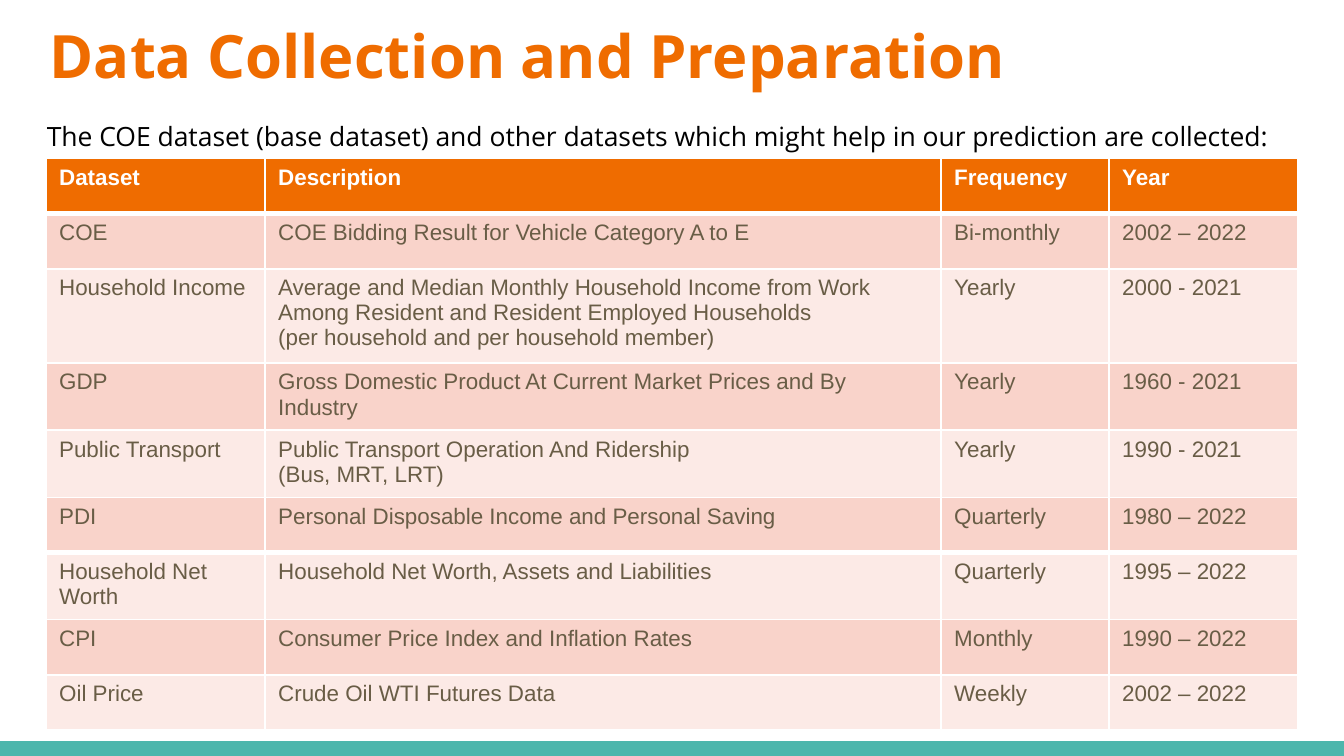
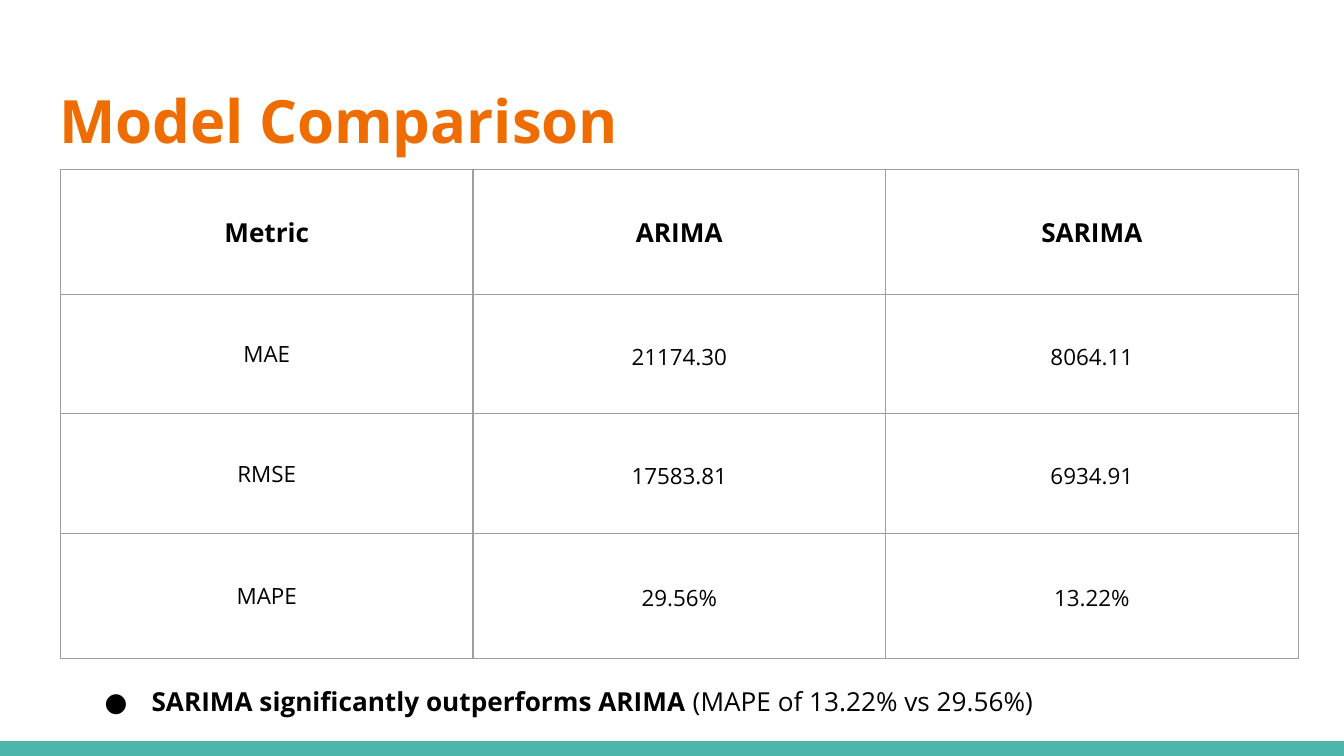
from dataclasses import dataclass

from lxml import etree
from pptx import Presentation
from pptx.dml.color import RGBColor
from pptx.enum.shapes import MSO_SHAPE
from pptx.enum.text import MSO_ANCHOR, MSO_AUTO_SIZE, PP_ALIGN
from pptx.oxml.ns import qn
from pptx.util import Inches, Pt

LEFT, CENTER = PP_ALIGN.LEFT, PP_ALIGN.CENTER
TOP, MIDDLE, BOTTOM = MSO_ANCHOR.TOP, MSO_ANCHOR.MIDDLE, MSO_ANCHOR.BOTTOM
WIDTH = 10
HEIGHT = WIDTH * 9 / 16
BAND_HEIGHT = 0.11
TITLE_ONLY = 5


@dataclass(frozen=True)
class Theme:
    accent: str = "EF6C00"
    band: str = "4DB6AC"
    ink: str = "000000"
    muted: str = "695D46"
    white: str = "FFFFFF"
    grid: str = "9E9E9E"
    stripes: tuple = ("F9D3CA", "FCEAE6")
    font: str = "Open Sans"
    table_font: str = "Arial"
    title_size: float = 32
    lead_size: float = 14.2
    body_size: float = 14
    cell_size: float = 12


T = Theme()

# Each cell or text is a list of paragraphs or one string; "\v" breaks a line.
DATA_TITLE = "Data Collection and Preparation"
DATA_LEAD = ("The COE dataset (base dataset) and other datasets which might help "
             "in our prediction are collected:")
DATASETS = [
    ("Dataset", "Description", "Frequency", "Year"),
    ("COE", "COE Bidding Result for Vehicle Category A to E", "Bi-monthly", "2002 – 2022"),
    ("Household Income",
     "Average and Median Monthly Household Income from Work Among Resident and "
     "Resident Employed Households \v(per household and per household member)",
     "Yearly", "2000 - 2021"),
    ("GDP", "Gross Domestic Product At Current Market Prices and By Industry",
     "Yearly", "1960 - 2021"),
    ("Public Transport", ["Public Transport Operation And Ridership", "(Bus, MRT, LRT)"],
     "Yearly", "1990 - 2021"),
    ("PDI", "Personal Disposable Income and Personal Saving", "Quarterly", "1980 – 2022"),
    ("Household Net Worth", "Household Net Worth, Assets and Liabilities",
     "Quarterly", "1995 – 2022"),
    ("CPI", "Consumer Price Index and Inflation Rates", "Monthly", "1990 – 2022"),
    ("Oil Price", "Crude Oil WTI Futures Data", "Weekly", "2002 – 2022"),
]
DATASET_COLS = [1.63, 5.03, 1.25, 1.41]
THICK_BELOW = {0, 5}

MODEL_TITLE = "Model Comparison"
METRICS = [
    ("Metric", "ARIMA", "SARIMA"),
    ("MAE", "21174.30", "8064.11"),
    ("RMSE", "17583.81", "6934.91"),
    ("MAPE", "29.56%", "13.22%"),
]
METRIC_ROWS = [0.93, 0.89, 0.89, 0.93]
FINDING = ("SARIMA significantly outperforms ARIMA", " (MAPE of 13.22% vs 29.56%)")


def rgb(color):
    return RGBColor.from_string(color)


def add_run(p, text, *, size, font=T.font, color=T.ink, bold=False):
    r = p.add_run()
    r.text = text
    r.font.size, r.font.name, r.font.bold = Pt(size), font, bold
    r.font.color.rgb = rgb(color)


def write(tf, text, *, align=LEFT, spacing=None, **font):
    paragraphs = [text] if isinstance(text, str) else text
    for i, paragraph in enumerate(paragraphs):
        p = tf.paragraphs[0] if i == 0 else tf.add_paragraph()
        p.alignment = align
        if spacing:
            p.line_spacing = spacing
        for j, line in enumerate(paragraph.split("\v")):
            if j:
                p.add_line_break()
            add_run(p, line, **font)


def set_insets(target, x, y):
    target.margin_left = target.margin_right = Inches(x)
    target.margin_top = target.margin_bottom = Inches(y)


def indent(p, left, first=0):
    pPr = p._p.get_or_add_pPr()
    pPr.set("marL", str(Inches(left)))
    pPr.set("indent", str(Inches(first)))
    return pPr


def add_bullet(p, left, first):
    pPr = indent(p, left, first)
    color = etree.SubElement(pPr, qn("a:buClr"))
    etree.SubElement(color, qn("a:srgbClr"), val=T.ink)
    etree.SubElement(pPr, qn("a:buSzPts"), val=str(T.body_size * 100))
    etree.SubElement(pPr, qn("a:buFont"), typeface=T.font)
    etree.SubElement(pPr, qn("a:buChar"), char="●")


def add_text_box(s, box):
    tf = s.shapes.add_textbox(*map(Inches, box)).text_frame
    tf.word_wrap = True
    set_insets(tf, 0.1, 0.1)
    return tf


def add_titled_slide(prs, title, left, top):
    s = prs.slides.add_slide(prs.slide_layouts[TITLE_ONLY])
    sp = s.shapes.title
    sp.left, sp.top, sp.width, sp.height = map(Inches, (left, top, 9.32, 0.77))
    tf = sp.text_frame
    tf.auto_size, tf.vertical_anchor = MSO_AUTO_SIZE.NONE, BOTTOM
    set_insets(tf, 0.1, 0.1)
    write(tf, title, size=T.title_size, color=T.accent, bold=True)
    add_footer_band(s)
    return s


def add_footer_band(s):
    band = s.shapes.add_shape(MSO_SHAPE.RECTANGLE, 0, Inches(HEIGHT - BAND_HEIGHT),
                              Inches(WIDTH), Inches(BAND_HEIGHT))
    band.shadow.inherit = False
    band.fill.solid()
    band.fill.fore_color.rgb = rgb(T.band)
    band.line.fill.background()


def set_borders(cell, color, **widths):
    """Draw the sides L, R, T and B, given as widths in points; call before filling."""
    tcPr = cell._tc.get_or_add_tcPr()
    for side in "LRTB":
        ln = etree.SubElement(tcPr, qn(f"a:ln{side}"), w=str(Pt(widths[side])))
        fill = etree.SubElement(ln, qn("a:solidFill"))
        etree.SubElement(fill, qn("a:srgbClr"), val=color)


def add_table(s, box, cols, heights, rows, style_cell):
    """Size a plain table and pass each cell with its text and place to style_cell."""
    frame = s.shapes.add_table(len(rows), len(cols), *map(Inches, box))
    table = frame.table
    table.first_row = table.horz_banding = False
    for column, width in zip(table.columns, cols):
        column.width = Inches(width)
    for i, (row, height) in enumerate(zip(rows, heights)):
        table.rows[i].height = Inches(height)
        for j, text in enumerate(row):
            style_cell(table.cell(i, j), text, i, j)
    frame.height = Inches(box[3])


def style_dataset_cell(cell, text, i, j):
    header = i == 0
    set_borders(cell, T.white, L=1, R=1, T=3 if i - 1 in THICK_BELOW else 1,
                B=3 if i in THICK_BELOW else 1)
    cell.fill.solid()
    cell.fill.fore_color.rgb = rgb(T.accent if header else T.stripes[(i - 1) % 2])
    cell.vertical_anchor = TOP
    set_insets(cell, 0.1, 0.05)
    write(cell.text_frame, text, size=T.cell_size, font=T.table_font, bold=header,
          color=T.white if header else T.muted)


def style_metric_cell(cell, text, i, j):
    header = i == 0
    set_borders(cell, T.grid, L=0.75, R=0.75, T=0.75, B=0.75)
    cell.fill.background()
    cell.vertical_anchor = MIDDLE
    set_insets(cell, 0.1, 0.1)
    write(cell.text_frame, text, align=CENTER, bold=header,
          size=T.body_size if header else T.cell_size,
          spacing=1.15 if i and j else None)


def build_data_slide(prs):
    s = add_titled_slide(prs, DATA_TITLE, 0.27, 0)
    tf = add_text_box(s, (0.13, 0.76, 9.87, 0.56))
    write(tf, DATA_LEAD, size=T.lead_size, spacing=1.15)
    indent(tf.paragraphs[0], 0.12)
    add_table(s, (0.34, 1.18, 9.32, 4.23), DATASET_COLS, [0.41] * len(DATASETS),
              DATASETS, style_dataset_cell)


def build_model_slide(prs):
    s = add_titled_slide(prs, MODEL_TITLE, 0.34, 0.49)
    add_table(s, (0.45, 1.26, 9.2, 3.64), [3.07] * 3, METRIC_ROWS, METRICS,
              style_metric_cell)
    tf = add_text_box(s, (0.53, 5, 8.97, 0.44))
    tf.auto_size = MSO_AUTO_SIZE.SHAPE_TO_FIT_TEXT
    p = tf.paragraphs[0]
    for text, bold in zip(FINDING, (True, False)):
        add_run(p, text, size=T.body_size, bold=bold)
    add_bullet(p, 0.5, -0.35)


def main():
    prs = Presentation()
    prs.slide_width, prs.slide_height = Inches(WIDTH), Inches(HEIGHT)
    build_data_slide(prs)
    build_model_slide(prs)
    prs.save("out.pptx")


if __name__ == "__main__":
    main()
